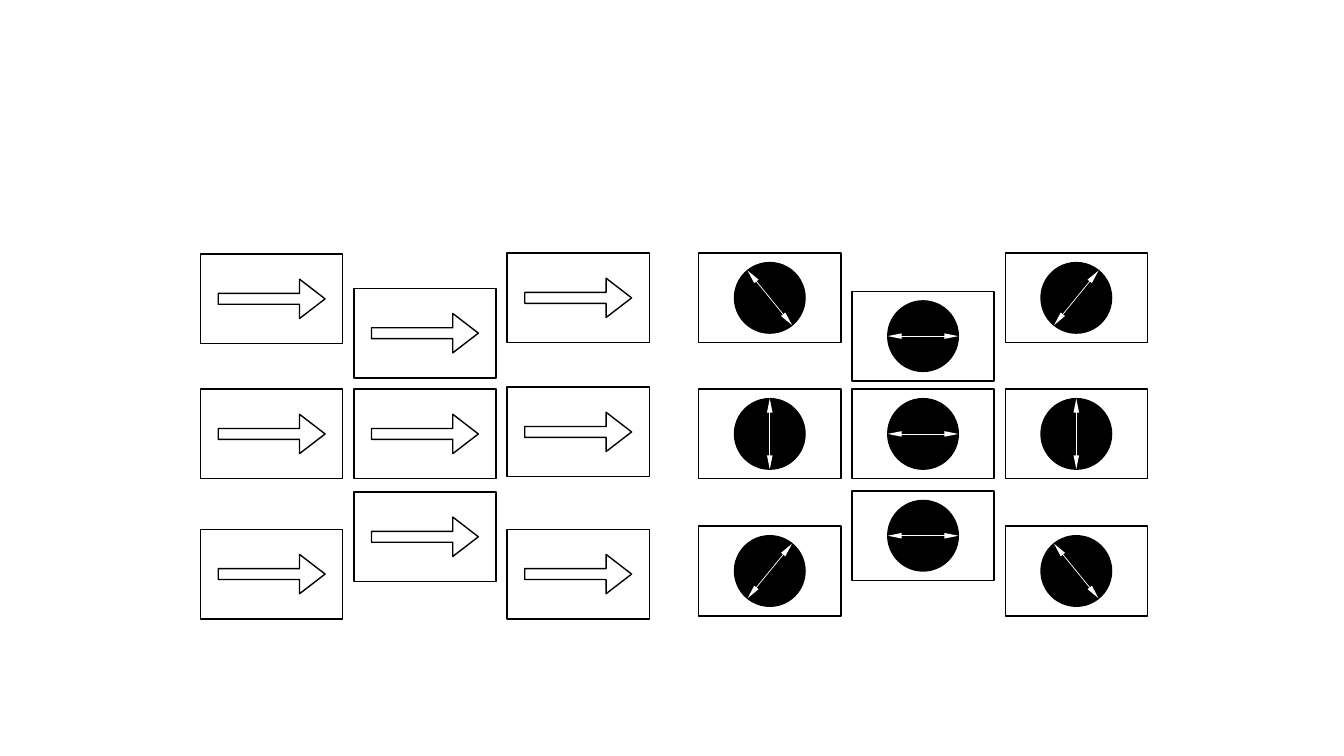
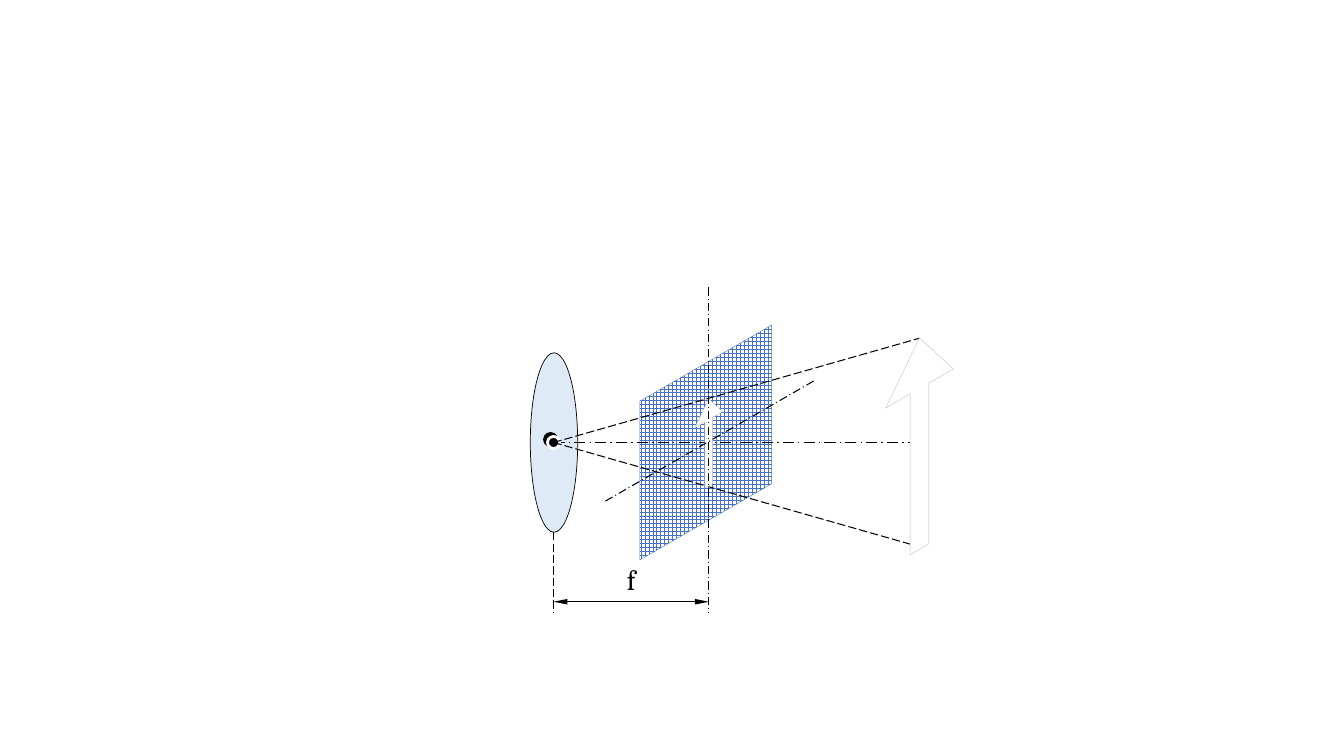
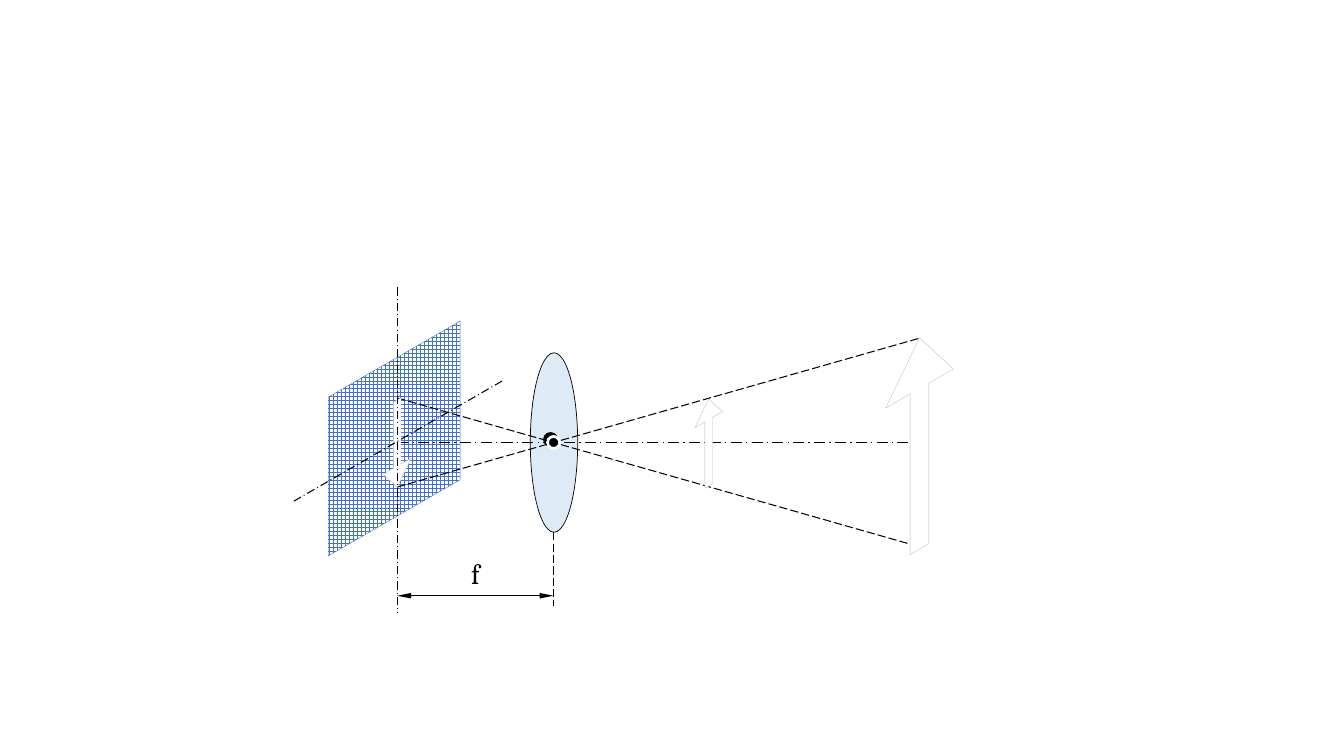
"""Three optics slides: arrow cards, then two views through a lens."""
from lxml import etree
from pptx import Presentation
from pptx.dml.color import RGBColor
from pptx.enum.dml import MSO_LINE as Dash, MSO_PATTERN as Pat
from pptx.enum.shapes import MSO_CONNECTOR as Link, MSO_SHAPE as Form
from pptx.enum.text import MSO_ANCHOR as Anchor, PP_ALIGN as Align
from pptx.oxml.ns import qn
from pptx.util import Inches, Pt

INK, PAPER, GLASS, GRID, EDGE = "000000", "FFFFFF", "DEEBF7", "4472C4", "BFBFBF"
hue = RGBColor.from_string


def paint(item, fill, edge=INK, size=1):
    """Set fill and outline, and drop the shadow."""
    item.shadow.inherit = False
    item.fill.solid()
    item.fill.fore_color.rgb = hue(fill)
    item.line.color.rgb = hue(edge)
    item.line.width = Pt(size)
    return item


def link(page, start, end, tint=INK, size=0.75, dash=None, heads=False):
    """Draw a straight line, dashed or with two heads if asked."""
    ends = [Inches(n) for n in (*start, *end)]
    line = page.shapes.add_connector(Link.STRAIGHT, *ends)
    line.line.color.rgb = hue(tint)
    line.line.width = Pt(size)
    if dash:
        line.line.dash_style = dash
    props = line._element.spPr
    if heads:
        for tag in ("a:headEnd", "a:tailEnd"):
            etree.SubElement(props.find(qn("a:ln")), qn(tag),
                             type="triangle", w="sm", len="lg")
    etree.SubElement(props, qn("a:effectLst"))


deck = Presentation()
deck.slide_width, deck.slide_height = Inches(13.33), Inches(7.5)
blank = deck.slide_layouts[6]

cards = deck.slides.add_slide(blank)
wide, high, step, disc = 1.41, 0.89, 1.52, 0.7
left_tops = [(2.52, 3.86, 5.25), (2.86, 3.86, 4.88), (2.51, 3.84, 5.25)]
right_tops = [(2.51, 3.86, 5.22), (2.89, 3.86, 4.87), (2.51, 3.86, 5.22)]
flat, tall, fall, rise = (0.35, 0), (0, 0.35), (0.22, 0.27), (0.22, -0.27)
turns = [(fall, tall, rise), (flat, flat, flat), (rise, tall, fall)]

for side, base, tops in (("left", 1.99, left_tops), ("right", 6.93, right_tops)):
    for col in range(3):
        for row in range(3):
            x, y = base + col * step, tops[col][row]
            mid_x, mid_y = x + wide / 2, y + high / 2
            box = [Inches(n) for n in (x, y, wide, high)]
            paint(cards.shapes.add_shape(Form.RECTANGLE, *box), PAPER)
            if side == "left":
                box = [Inches(n) for n in (mid_x - 0.195, mid_y - 0.53, 0.39, 1.06)]
                arrow = paint(cards.shapes.add_shape(Form.DOWN_ARROW, *box), PAPER)
                arrow.adjustments[0], arrow.adjustments[1] = 0.276, 0.649
                arrow.rotation = 270
            else:
                box = [Inches(n) for n in (mid_x - disc / 2, mid_y - disc / 2, disc, disc)]
                paint(cards.shapes.add_shape(Form.OVAL, *box), INK)
                dx, dy = turns[col][row]
                link(cards, (mid_x - dx, mid_y - dy), (mid_x + dx, mid_y + dy),
                     PAPER, 0.5, heads=True)

lens, axis, far, slope = 5.49, 4.39, 9.12, 0.285
square = [(-0.5, -0.5), (0.5, -0.5), (0.5, 0.5), (-0.5, 0.5)]
near_arrow, far_arrow = (7.03, 4.39, 0.39, 1.06), (far, 4.4, 0.95, 2.57)
down_arrow = (3.94, 4.4, 0.39, -1.06)
views = [
    (7.03, 4.39, 5.97, [near_arrow, far_arrow]),
    (3.94, 4.35, 5.91, [down_arrow, near_arrow, far_arrow]),
]

for focus, screen_y, ruler, arrows in views:
    page = deck.slides.add_slide(blank)
    start = min(focus, lens)
    outlines = [(focus - 0.03, screen_y, 1.85, 1.93, square)]
    for x, y, w, h in arrows:
        neck = 0.649 * w / abs(h) - 0.5
        shaft = 0.138
        shape = [(0, -0.5), (0.5, neck), (shaft, neck), (shaft, 0.5),
                 (-shaft, 0.5), (-shaft, neck), (-0.5, neck)]
        outlines.append((x, y, w, h, shape))

    for rank, (x, y, w, h, shape) in enumerate(outlines):
        spots = [(Inches(x + 0.707 * u * w),
                  Inches(y + 0.816 * v * h - 0.408 * u * w)) for u, v in shape]
        pen = page.shapes.build_freeform(*spots[0], scale=1)
        pen.add_line_segments(spots[1:], close=True)
        part = paint(pen.convert_to_shape(), PAPER, EDGE, 0.25)
        if rank:
            continue
        part.line.color.rgb = hue(GRID)
        part.fill.patterned()
        part.fill.pattern = Pat.LARGE_GRID
        part.fill.fore_color.rgb = hue(GRID)
        part.fill.back_color.rgb = hue(PAPER)

        box = [Inches(n) for n in (5.26, 3.5, 0.47, 1.78)]
        paint(page.shapes.add_shape(Form.OVAL, *box), GLASS, INK, 0.5)
        link(page, (start, axis), (far, axis), size=1, dash=Dash.LONG_DASH_DOT)
        box = [Inches(n) for n in (lens - 0.06, axis - 0.06, 0.12, 0.12)]
        hole = paint(page.shapes.add_shape(Form.OVAL, *box), INK, PAPER, 2)
        glow = etree.SubElement(hole._element.spPr.find(qn("a:effectLst")),
                                qn("a:outerShdw"), dist="38100", dir="13500000")
        etree.SubElement(glow, qn("a:srgbClr"), val=INK)
        for tilt in (-slope, slope):
            link(page, (start, axis + tilt * (start - lens)),
                 (far, axis + tilt * (far - lens)), dash=Dash.LONG_DASH)

    link(page, (lens, 5.28), (lens, ruler + 0.1), dash=Dash.LONG_DASH)
    box = [Inches(n) for n in ((focus + lens) / 2 - 0.175, ruler - 0.46, 0.35, 0.48)]
    frame = page.shapes.add_textbox(*box).text_frame
    frame.word_wrap = True
    frame.vertical_anchor = Anchor.MIDDLE
    frame.margin_left = frame.margin_right = frame.margin_top = frame.margin_bottom = 0
    frame.text = "f"
    para = frame.paragraphs[0]
    para.alignment, para.space_after = Align.CENTER, Pt(6)
    font = para.runs[0].font
    font.name, font.size, font.color.rgb = "Cambria", Pt(20), hue(INK)
    link(page, (start, ruler), (max(focus, lens), ruler), size=0.5, heads=True)
    link(page, (focus, 2.85), (focus, 6.08), dash=Dash.LONG_DASH_DOT)
    link(page, (focus + 1.04, 3.78), (focus - 1.04, 4.98), dash=Dash.LONG_DASH_DOT)

deck.save("out.pptx")
